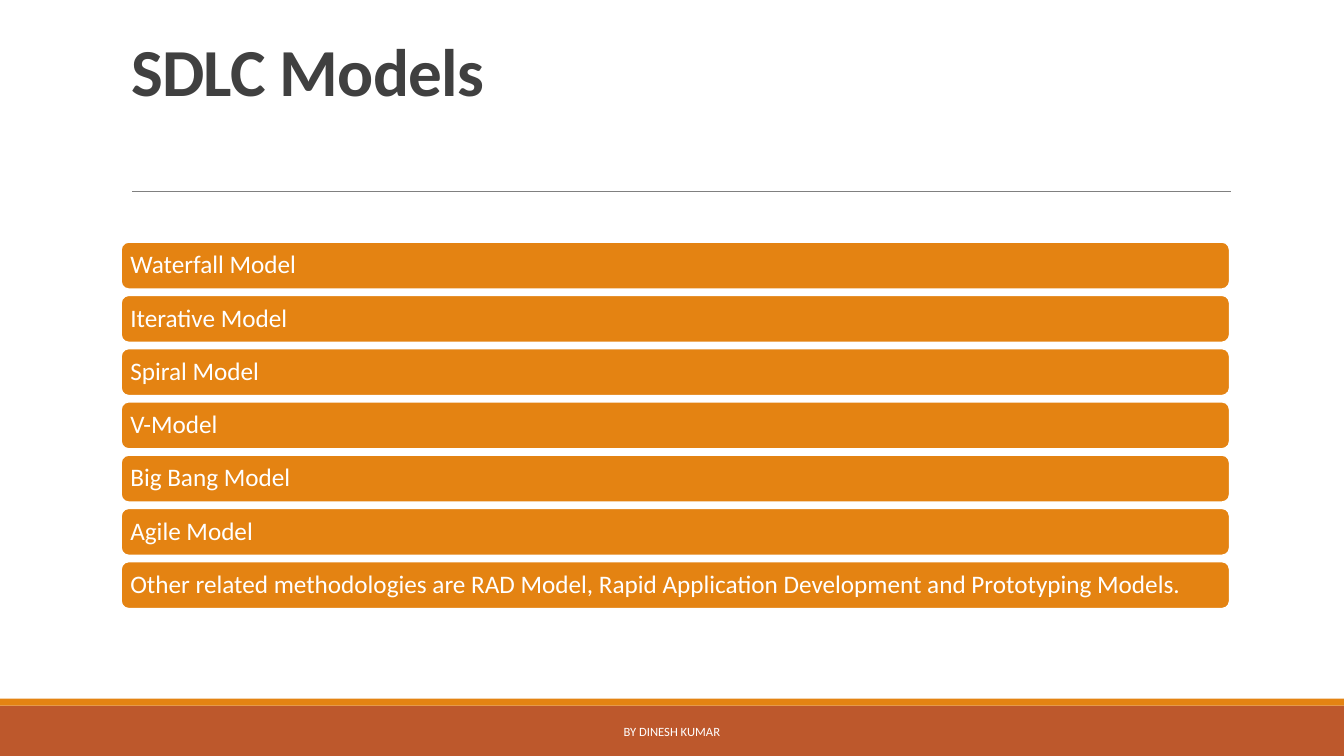
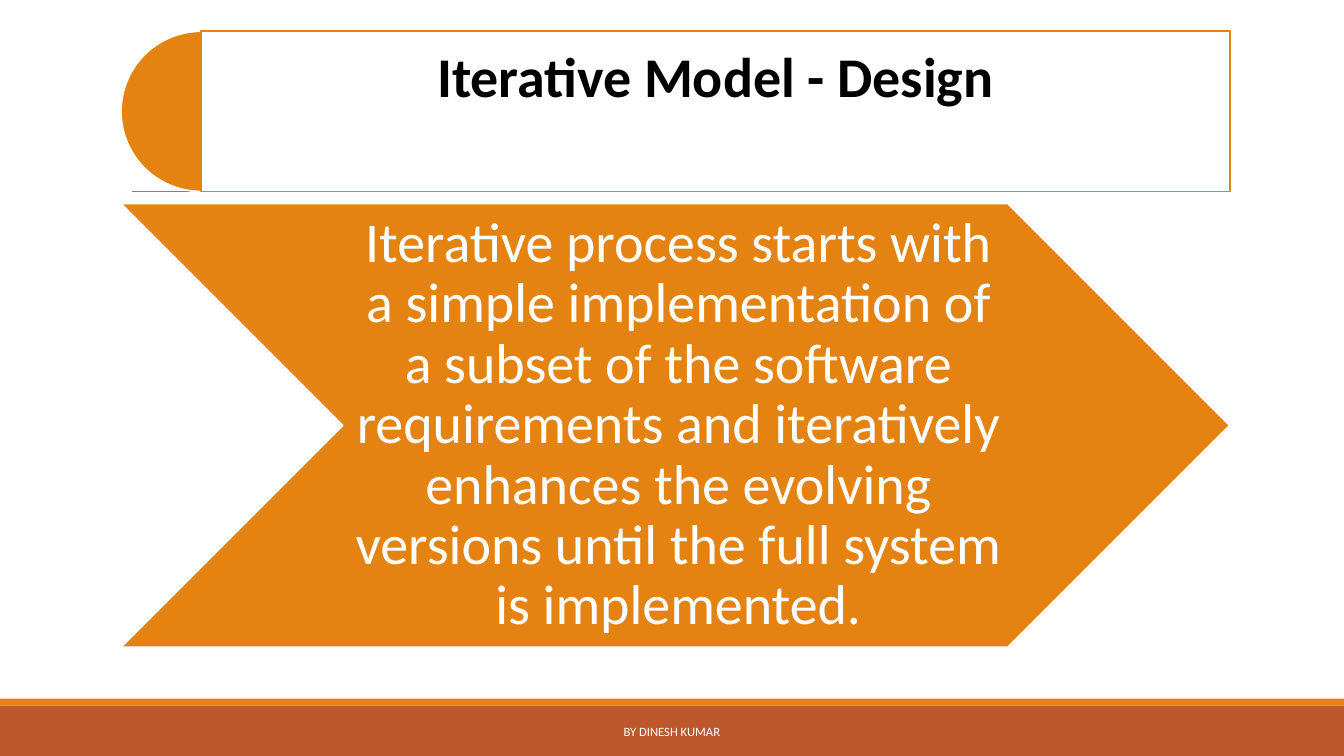
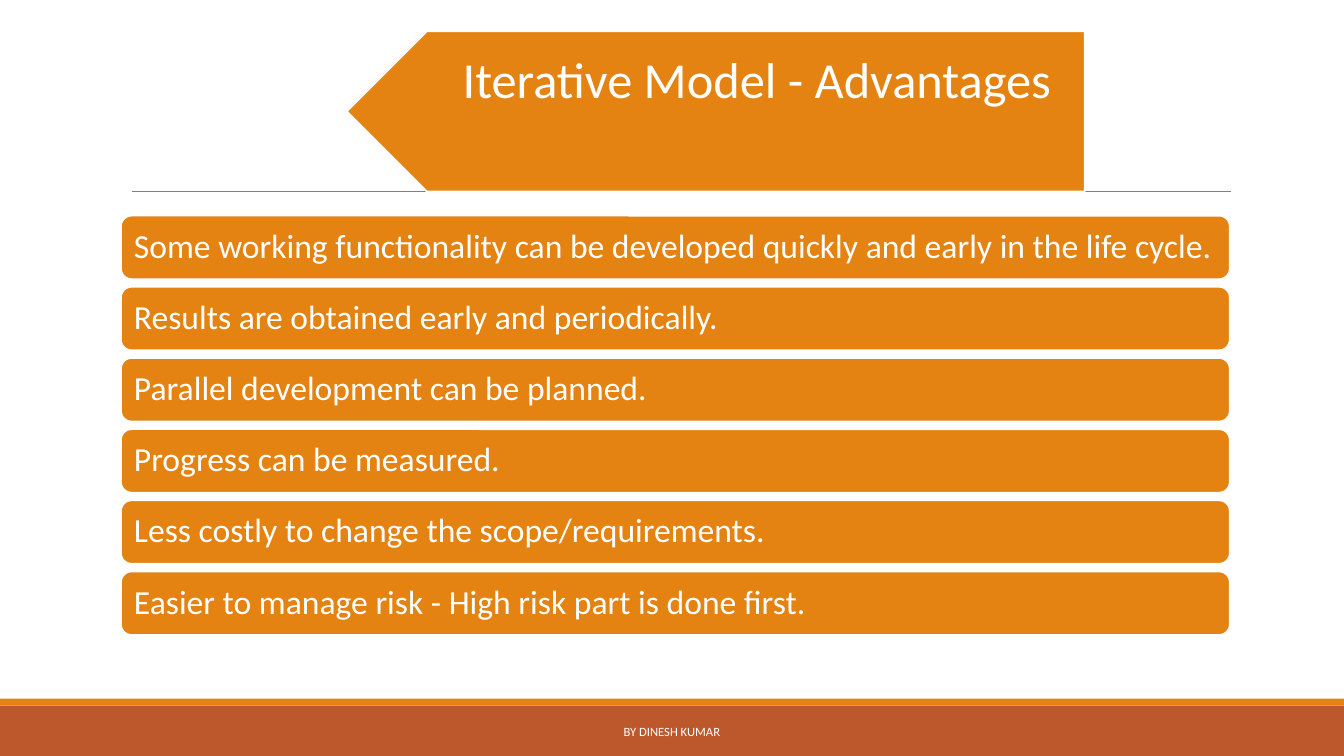
from lxml import etree
from pptx import Presentation
from pptx.dml.color import RGBColor
from pptx.enum.shapes import MSO_CONNECTOR, MSO_SHAPE
from pptx.enum.text import MSO_ANCHOR, MSO_AUTO_SIZE, PP_ALIGN
from pptx.oxml.ns import qn
from pptx.util import Inches, Pt

RECT, ROUND, PIE = MSO_SHAPE.RECTANGLE, MSO_SHAPE.ROUNDED_RECTANGLE, MSO_SHAPE.PIE
CHEVRON, PLATE = MSO_SHAPE.CHEVRON, MSO_SHAPE.PENTAGON
STRAIGHT = MSO_CONNECTOR.STRAIGHT
LEFT, CENTER = PP_ALIGN.LEFT, PP_ALIGN.CENTER
MIDDLE, BOTTOM = MSO_ANCHOR.MIDDLE, MSO_ANCHOR.BOTTOM
NONE = MSO_AUTO_SIZE.NONE

WIDE, HIGH = Inches(13.33), Inches(7.5)
HUES = {"rust": "BD582C", "orange": "E48312", "white": "FFFFFF",
        "gray": "808080", "dark": "404040", "black": "000000"}
HUES = {name: RGBColor.from_string(code) for name, code in HUES.items()}
SIDES = ("left", "top", "right", "bottom")


def span(x, y, w, h):
    return [int(side * part / 100) for side, part in zip((WIDE, HIGH, WIDE, HIGH), (x, y, w, h))]


def write(shape, text, size, hue, pads, align=LEFT, anchor=MIDDLE, bold=False, lead=0.9):
    frame = shape.text_frame
    frame.text = text
    line = frame.paragraphs[0]
    look = {"word_wrap": True, "auto_size": NONE, "vertical_anchor": anchor}
    look.update({f"margin_{side}": Inches(pad) for side, pad in zip(SIDES, pads)})
    font = {"name": "Calibri", "size": Pt(size), "bold": bold}
    for item, values in ((frame, look), (line, {"alignment": align, "line_spacing": lead}),
                         (line.runs[0].font, font)):
        for name, value in values.items():
            setattr(item, name, value)
    line.runs[0].font.color.rgb = HUES[hue]


BANDS = [{"kind": RECT, "box": (0, 93.33, 100, 6.67), "fill": "rust"},
         {"kind": RECT, "box": (0, 92.4, 100, 0.93), "fill": "orange"}]
PAGES = [
    {"title": "SDLC Models", "box": (9, 4.13, 82.5, 21.2),
     "look": {"size": 48, "hue": "dark", "pads": (0.1, 0.05, 0.1, 0.81), "bold": True, "lead": 0.85},
     "parts": [], "first": 32, "last": 74.27, "tall": 6.27, "size": 18, "pad": 0.07,
     "rows": ["Waterfall Model", "Iterative Model", "Spiral Model", "V-Model", "Big Bang Model",
              "Agile Model", "Other related methodologies are RAD Model, Rapid Application "
              "Development and Prototyping Models."]},
    {"title": "Iterative Model - Design", "box": (14.93, 4.13, 76.6, 21.2),
     "look": {"size": 40, "hue": "black", "pads": (0.17, 0.17, 0.17, 0.81), "align": CENTER, "bold": True},
     "parts": [
         {"kind": PIE, "box": (9, 4.13, 11.93, 21.2), "fill": "orange", "line": "white",
          "turns": (54, 162)},
         {"kind": RECT, "box": (14.93, 4.13, 76.6, 21.2), "fill": "white", "line": "orange",
          "alpha": 90},
         {"kind": CHEVRON, "box": (9, 26.93, 82.5, 58.67), "fill": "orange", "line": "white",
          "text": {"text": "Iterative process starts with a simple implementation of a subset of "
                           "the software requirements and iteratively enhances the evolving "
                           "versions until the full system is implemented.",
                   "size": 40, "hue": "white", "pads": (0.06, 0.03, 0, 0.03), "align": CENTER}}],
     "rows": []},
    {"title": "Iterative Model - Advantages", "box": (28.8, 4.13, 51.9, 21.2),
     "look": {"size": 36, "hue": "white", "pads": (0.7, 0.15, 0.28, 0.81), "align": CENTER},
     "parts": [{"kind": PLATE, "box": (25.8, 4.13, 54.9, 21.2), "fill": "orange", "line": "white",
                "spin": 180}],
     "first": 28.53, "last": 75.6, "tall": 8.4, "size": 24, "pad": 0.1,
     "rows": ["Some working functionality can be developed quickly and early in the life cycle.",
              "Results are obtained early and periodically.",
              "Parallel development can be planned.",
              "Progress can be measured.",
              "Less costly to change the scope/requirements.",
              "Easier to manage risk - High risk part is done first."]},
]

deck = Presentation()
deck.slide_width, deck.slide_height = WIDE, HIGH

for page in PAGES:
    slide = deck.slides.add_slide(deck.slide_layouts[5])
    shapes = slide.shapes

    x, y, w, h = span(9.83, 25.33, 81.77, 0)
    rule = shapes.add_connector(STRAIGHT, x, y, x + w, y)
    rule.line.color.rgb = HUES["gray"]
    rule.line.width = Pt(0.5)
    etree.SubElement(rule._element.spPr, qn("a:effectLst"))

    parts = BANDS + page["parts"]
    for i, text in enumerate(page["rows"]):
        step = (page["last"] - page["first"]) / (len(page["rows"]) - 1)
        parts.append({"kind": ROUND, "box": (9, page["first"] + i * step, 82.5, page["tall"]),
                      "fill": "orange", "line": "white",
                      "text": {"text": text, "size": page["size"], "hue": "white",
                               "pads": [page["pad"]] * 4}})

    for part in parts:
        shape = shapes.add_shape(part["kind"], *span(*part["box"]))
        shape.shadow.inherit = False
        shape.rotation = part.get("spin", 0)
        shape.fill.solid()
        shape.fill.fore_color.rgb = HUES[part["fill"]]
        for i, turn in enumerate(part.get("turns", ())):
            shape.adjustments[i] = turn
        if "alpha" in part:
            tint = shape._element.spPr.find(qn("a:solidFill"))[0]
            etree.SubElement(tint, qn("a:alpha"), val=str(part["alpha"] * 1000))
        if "line" in part:
            shape.line.color.rgb = HUES[part["line"]]
            shape.line.width = Pt(1.25)
        else:
            shape.line.fill.background()
        if "text" in part:
            write(shape, **part["text"])

    title = shapes.title
    for name, value in zip(("left", "top", "width", "height"), span(*page["box"])):
        setattr(title, name, value)
    write(title, page["title"], anchor=BOTTOM, **page["look"])
    if page["look"]["hue"] == "dark":
        title.text_frame.paragraphs[0].runs[0]._r.get_or_add_rPr().set("spc", "-50")
    shapes._spTree.append(title._element)

    foot = shapes.add_textbox(*span(30.23, 94.13, 39.53, 5.33))
    write(foot, "BY DINESH KUMAR", 9, "white", (0.1, 0.05, 0.1, 0.05), CENTER, lead=1.0)

deck.save("out.pptx")
